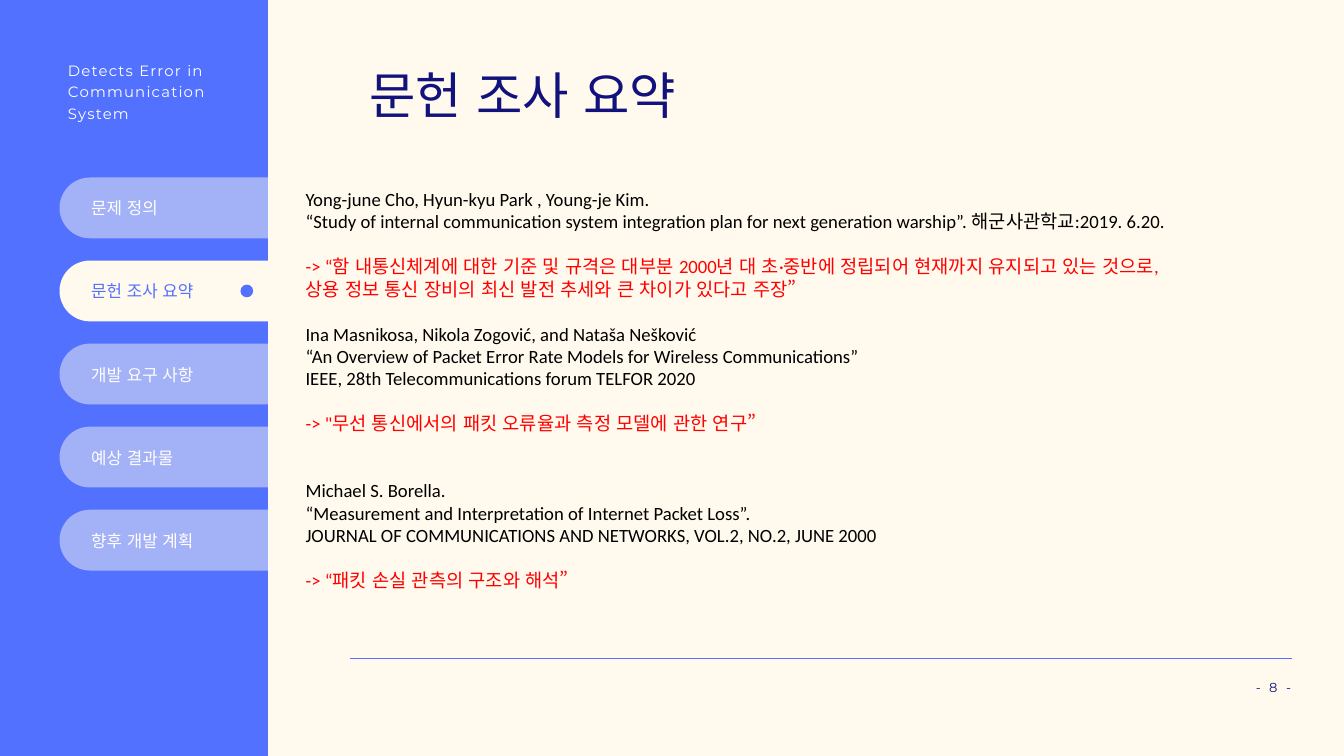
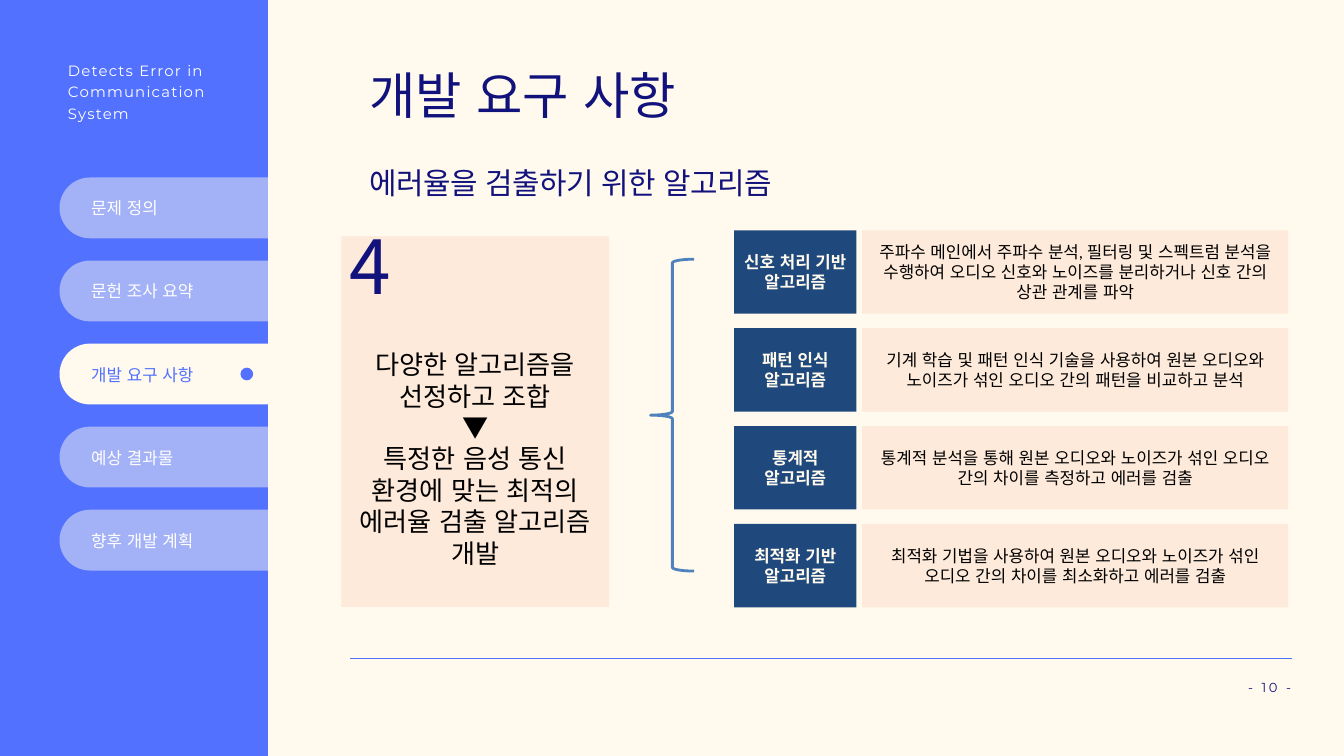
import pptx
import pptx.util
import pptx.dml.color
import pptx.enum.lang
import pptx.enum.shapes
import pptx.enum.text
import pptx.oxml
import pptx.oxml.ns
from pptx.util import Cm

COLORS = {
    "cream": "FFFAED", "blue": "5271FF", "navy": "12127D", "white": "FFFFFF",
    "black": "000000", "red": "FF0000", "peach": "FDEADA", "steel": "1F497D",
    "brace": "4F81BD",
}
CALIBRI, MONTSERRAT, NOTO = "Calibri", "Montserrat", "Noto Sans CJK KR"
SHAPES = pptx.enum.shapes.MSO_SHAPE
ALIGN = pptx.enum.text.PP_ALIGN
ANCHOR = pptx.enum.text.MSO_ANCHOR

SECTIONS = ["문제 정의", "문헌 조사 요약", "개발 요구 사항", "예상 결과물", "향후 개발 계획"]

# Each reference: citation lines, finding lines, space before the citation
REFERENCES = [
    (["Yong-june Cho, Hyun-kyu Park , Young-je Kim.",
      "“Study of internal communication system integration plan for next "
      "generation warship”. 해군사관학교:2019. 6.20."],
     ["-> “함 내통신체계에 대한 기준 및 규격은 대부분 2000년 대 초·중반에 정립되어 "
      "현재까지 유지되고 있는 것으로,",
      "상용 정보 통신 장비의 최신 발전 추세와 큰 차이가 있다고 주장”"], 0),
    (["Ina Masnikosa, Nikola Zogović, and Nataša Nešković",
      "“An Overview of Packet Error Rate Models for Wireless Communications”",
      "IEEE, 28th Telecommunications forum TELFOR 2020"],
     ["-> \"무선 통신에서의 패킷 오류율과 측정 모델에 관한 연구”"], 24),
    (["Michael S. Borella.",
      "“Measurement and Interpretation of Internet Packet Loss”.",
      "JOURNAL OF COMMUNICATIONS AND NETWORKS, VOL.2, NO.2, JUNE 2000"],
     ["-> “패킷 손실 관측의 구조와 해석”"], 48),
]

ALGORITHMS = [
    ("신호 처리 기반 알고리즘", CALIBRI,
     "주파수 메인에서 주파수 분석, 필터링 및 스펙트럼 분석을 수행하여 "
     "오디오 신호와 노이즈를 분리하거나 신호 간의 상관 관계를 파악"),
    ("패턴 인식 알고리즘", NOTO,
     "기계 학습 및 패턴 인식 기술을 사용하여 원본 오디오와 "
     "노이즈가 섞인 오디오 간의 패턴을 비교하고 분석"),
    ("통계적 알고리즘", NOTO,
     "통계적 분석을 통해 원본 오디오와 노이즈가 섞인 오디오 "
     "간의 차이를 측정하고 에러를 검출"),
    ("최적화 기반 알고리즘", NOTO,
     "최적화 기법을 사용하여 원본 오디오와 노이즈가 섞인 "
     "오디오 간의 차이를 최소화하고 에러를 검출"),
]


def rgb(color):
    return pptx.dml.color.RGBColor.from_string(COLORS[color])


def add_line(frame, text, size, color, font=CALIBRI, bold=False, align=None,
             leading=None, tracking=0, before=0):
    """Add one paragraph, using the frame's empty first one if it is free."""
    first = frame.paragraphs[0]
    paragraph = frame.add_paragraph() if first.runs else first
    paragraph.alignment = align
    if leading:
        paragraph.line_spacing = pptx.util.Pt(leading)
    if before:
        paragraph.space_before = pptx.util.Pt(before)
    run = paragraph.add_run()
    run.text = text
    run.font.size = pptx.util.Pt(size)
    run.font.bold = bold
    run.font.name = font
    run.font.color.rgb = rgb(color)
    run.font.language_id = pptx.enum.lang.MSO_LANGUAGE_ID.KOREAN
    properties = run.font._element
    if tracking:
        properties.set("spc", str(round(tracking * 100)))
    east_asian = pptx.oxml.ns.qn("a:ea")
    properties.find(pptx.oxml.ns.qn("a:latin")).addnext(
        properties.makeelement(east_asian, {"typeface": NOTO}))


def add_frame(slide, box, inset=True):
    """Add a wrapping text box; box is left, top, width, height in cm."""
    frame = slide.shapes.add_textbox(*map(Cm, box)).text_frame
    frame.word_wrap = True
    if not inset:
        frame.margin_left = frame.margin_right = 0
        frame.margin_top = frame.margin_bottom = 0
    return frame


def add_block(slide, kind, box, fill, opacity=None):
    block = slide.shapes.add_shape(kind, *map(Cm, box))
    block.shadow.inherit = False
    block.line.fill.background()
    block.fill.solid()
    block.fill.fore_color.rgb = rgb(fill)
    if opacity:
        tint = block._element.spPr.find(".//" + pptx.oxml.ns.qn("a:srgbClr"))
        alpha = tint.makeelement(pptx.oxml.ns.qn("a:alpha"),
                                 {"val": str(opacity * 1000)})
        tint.append(alpha)
    return block


def add_cell(slide, box, fill, text, color, font, bold=False):
    frame = add_block(slide, SHAPES.RECTANGLE, box, fill).text_frame
    frame.word_wrap = True
    frame.vertical_anchor = ANCHOR.MIDDLE
    add_line(frame, text, 18, color, font, bold, ALIGN.CENTER)


# Parts shared by every slide
def add_sidebar(slide, box, current):
    left, top, width, height = box
    add_block(slide, SHAPES.RECTANGLE, box, "blue")

    project = add_frame(slide, (left + 2.57, top + 2.18, 5.41, 2.36), inset=False)
    for line in ["Detects Error in", "Communication", "System"]:
        add_line(project, line, 16, "white", MONTSERRAT, leading=23, tracking=1.3)

    tab_height, pitch, dot = 2.3, 3.14, 0.48
    for index, section in enumerate(SECTIONS):
        active = section == current
        tab_top = top + 6.71 + index * pitch
        tab = add_block(slide, SHAPES.ROUNDED_RECTANGLE,
                        (left + 2.25, tab_top, 9.05, tab_height),
                        "cream", None if active else 47)
        tab.adjustments[0] = 0.5
        if active:
            add_block(slide, SHAPES.OVAL,
                      (left + 9.09, tab_top + (tab_height - dot) / 2, dot, dot),
                      "blue")
        label = add_frame(slide, (left + 3.45, tab_top + 0.78, 6.48, 0.76), inset=False)
        add_line(label, section, 18, "blue" if active else "white", leading=21.6)


def add_footer(slide, box, page):
    left, top, width, height = box
    rule = slide.shapes.add_connector(
        pptx.enum.shapes.MSO_CONNECTOR.STRAIGHT,
        Cm(left), Cm(top), Cm(left + width), Cm(top))
    rule.line.color.rgb = rgb("blue")
    rule.line.width = pptx.util.Pt(0.75)
    properties = rule._element.spPr
    properties.append(properties.makeelement(pptx.oxml.ns.qn("a:effectLst"), {}))
    number = add_frame(slide, (left + width - 8.6, top + 0.81, 8.56, height - 0.81),
                       inset=False)
    add_line(number, f"- {page} -", 14, "navy", MONTSERRAT, align=ALIGN.RIGHT,
             leading=16.8, tracking=2.7)


def add_section_slide(deck, section, page):
    slide = deck.slides.add_slide(deck.slide_layouts[6])
    slide.background.fill.solid()
    slide.background.fill.fore_color.rgb = rgb("cream")
    add_sidebar(slide, (0, 0, 10.13, 28.58), section)
    title = add_frame(slide, (13.97, 3, 22.83, 1.8), inset=False)
    add_line(title, section, 54, "navy", leading=48)
    add_footer(slide, (13.23, 24.89, 35.61, 1.37), page)
    return slide


# Literature review
def add_references(slide, box):
    frame = add_frame(slide, box)
    for citation, finding, gap in REFERENCES:
        for index, line in enumerate(citation):
            add_line(frame, line, 20, "black", before=0 if index else gap)
        for index, line in enumerate(finding):
            add_line(frame, line, 20, "red", before=0 if index else 24)


# Development requirements
def add_goal_panel(slide, box):
    left, top, width, height = box
    add_block(slide, SHAPES.RECTANGLE, box, "peach")
    count = add_frame(slide, (left + 0.33, top + 1.58, 2.16, 1.65), inset=False)
    add_line(count, str(len(ALGORITHMS)), 80, "navy", NOTO, leading=33.6, tracking=-0.5)
    goal = add_frame(slide, (left, top + 4.12, width, 8.64))
    for line in ["다양한 알고리즘을 선정하고 조합", "▼",
                 "특정한 음성 통신 환경에 맞는 최적의 에러율 검출 알고리즘 개발"]:
        add_line(goal, line, 28, "black", NOTO, align=ALIGN.CENTER)


def add_brace(slide, box):
    brace = slide.shapes.add_shape(SHAPES.LEFT_BRACE, *map(Cm, box))
    brace.shadow.inherit = False
    brace.fill.background()
    brace.line.color.rgb = rgb("brace")
    brace.line.width = pptx.util.Pt(3)


def add_algorithms(slide, box):
    left, top, width, height = box
    row_height, name_width, gap = 3.15, 4.62, 0.22
    pitch = (height - row_height) / (len(ALGORITHMS) - 1)
    detail_left = left + name_width + gap
    for index, (name, font, detail) in enumerate(ALGORITHMS):
        row_top = top + index * pitch
        add_cell(slide, (detail_left, row_top, left + width - detail_left, row_height),
                 "peach", detail, "black", font)
        add_cell(slide, (left, row_top, name_width, row_height),
                 "steel", name, "cream", NOTO, bold=True)


def main():
    deck = pptx.Presentation()
    deck.slide_width, deck.slide_height = Cm(50.8), Cm(28.58)

    review = add_section_slide(deck, SECTIONS[1], 8)
    add_references(review, (11.3, 6.98, 38.02, 18.21))

    requirements = add_section_slide(deck, SECTIONS[2], 10)
    subtitle = add_frame(requirements, (13.97, 6.4, 23.04, 1.22), inset=False)
    add_line(subtitle, "에러율을 검출하기 위한 알고리즘", 32, "navy", NOTO,
             leading=33.6, tracking=-0.5)
    add_goal_panel(requirements, (12.9, 8.94, 10.13, 14))
    add_brace(requirements, (24.59, 9.8, 1.65, 11.79))
    add_algorithms(requirements, (27.75, 8.71, 20.94, 14.25))

    deck.save("out.pptx")


if __name__ == "__main__":
    main()
